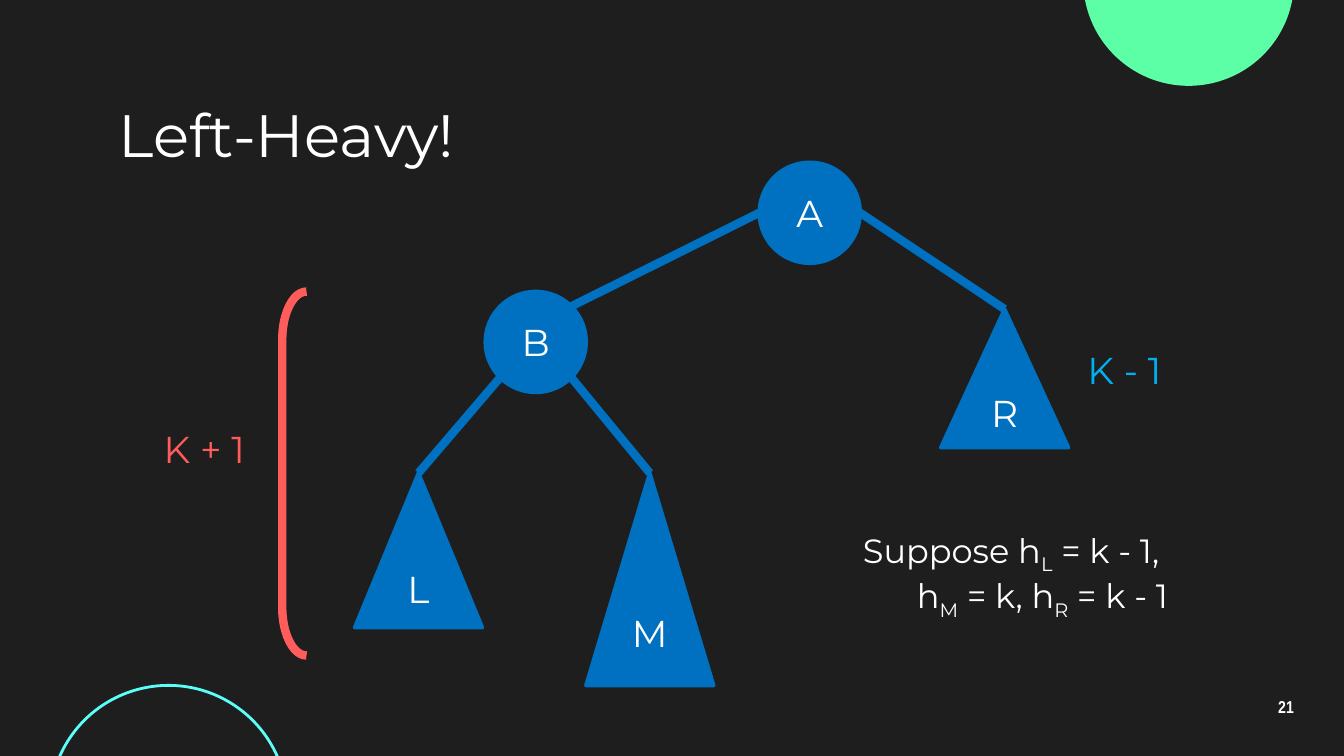
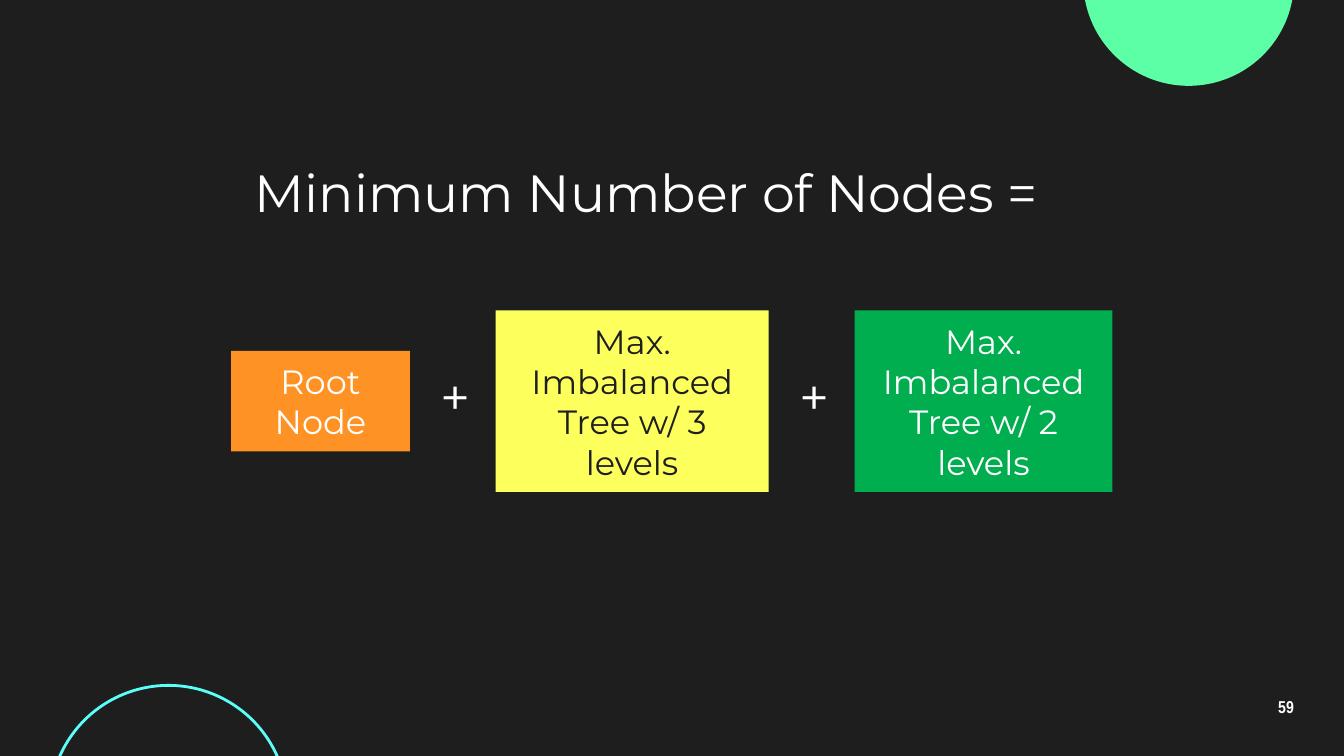
from dataclasses import dataclass
from math import cos, radians, sin

from pptx import Presentation
from pptx.dml.color import RGBColor
from pptx.enum import shapes, text
from pptx.oxml.xmlchemy import OxmlElement
from pptx.util import Pt

KIND = shapes.MSO_SHAPE
ALIGN = text.PP_ALIGN
ANCHOR = text.MSO_ANCHOR


@dataclass(frozen=True)
class Theme:
    background: str = "1E1E1E"
    white: str = "FFFFFF"
    mint: str = "5CFFA6"
    aqua: str = "5CFFF8"
    node: str = "0070C0"
    tall: str = "FF5C5C"
    short: str = "00B0F0"
    orange: str = "FF9225"
    yellow: str = "FDFF5C"
    green: str = "00AE4F"
    font: str = "Montserrat"
    number_font: str = "Arial Narrow"
    title_size: float = 32
    formula_size: float = 28
    label_size: float = 20
    body_size: float = 18
    number_size: float = 9.2
    outline: float = 2
    edge: float = 4.5
    inset: float = 7.2


THEME = Theme()


def rgb(color):
    return RGBColor.from_string(color)


def points(*lengths):
    return [Pt(length) for length in lengths]


def write(shape, words, *, size=THEME.body_size, color=THEME.white, font=THEME.font,
          align=ALIGN.CENTER, anchor=ANCHOR.MIDDLE, bold=False, spacing=None, inset=None):
    """Fill a shape with one paragraph; words between ~ marks are subscripts."""
    frame = shape.text_frame
    frame.word_wrap = True
    frame.auto_size = text.MSO_AUTO_SIZE.NONE
    frame.vertical_anchor = anchor
    if inset is not None:
        frame.margin_left = frame.margin_right = Pt(inset)
        frame.margin_top = frame.margin_bottom = Pt(inset)
    paragraph = frame.paragraphs[0]
    paragraph.alignment = align
    paragraph.line_spacing = spacing
    for index, part in enumerate(words.split("~")):
        for row, piece in enumerate(part.split("\n")):
            if row:
                paragraph.add_line_break()
            run = paragraph.add_run()
            run.text = piece
            run.font.name, run.font.size, run.font.bold = font, Pt(size), bold
            run.font.color.rgb = rgb(color)
            if index % 2:
                run._r.get_or_add_rPr().set("baseline", "-25000")


def add_text(slide, words, box, anchor=ANCHOR.TOP, **format):
    label = slide.shapes.add_textbox(*points(*box))
    write(label, words, anchor=anchor, inset=THEME.inset, **format)


def add_figure(slide, kind, box, fill=None, line=None, width=THEME.outline):
    figure = slide.shapes.add_shape(kind, *points(*box))
    figure.shadow.inherit = False
    if fill:
        figure.fill.solid()
        figure.fill.fore_color.rgb = rgb(fill)
    else:
        figure.fill.background()
    if line:
        figure.line.color.rgb = rgb(line)
        figure.line.width = Pt(width)
    else:
        figure.line.fill.background()
    return figure


def set_title(slide, words, box, **format):
    title = slide.shapes.title
    title.left, title.top, title.width, title.height = points(*box)
    write(title, words, inset=THEME.inset, **format)


def decorate_layout(layout, slide):
    """Give the layout its background and circles, drawn on a slide and moved over."""
    layout.background.fill.solid()
    layout.background.fill.fore_color.rgb = rgb(THEME.background)
    circles = [
        add_figure(slide, KIND.OVAL, (580.3, -67, 113, 113), fill=THEME.mint),
        add_figure(slide, KIND.OVAL, (26.6, 367.2, 127.4, 127.4), line=THEME.aqua, width=1.5),
    ]
    for number, circle in enumerate(circles, start=20):
        circle.element.nvSpPr.cNvPr.set("id", str(number))
        layout.shapes.element.append(circle.element)


def add_number(slide, number):
    add_text(slide, str(number), (667.4, 367.2, 43.2, 24.5), anchor=ANCHOR.MIDDLE,
             size=THEME.number_size, font=THEME.number_font, bold=True, spacing=0.9)


def add_edge(slide, node, angle, child, child_angle=None):
    """Join a node's rim to a subtree's apex, or to another node's rim."""
    def rim(circle, degrees):
        radius, turn = circle.width / 2, radians(degrees)
        return (int(circle.left + radius * (1 + cos(turn))),
                int(circle.top + radius * (1 + sin(turn))))

    start = rim(node, angle)
    end = start if child_angle is None else rim(child, child_angle)
    edge = slide.shapes.add_connector(shapes.MSO_CONNECTOR.STRAIGHT, *start, *end)
    if child_angle is None:
        edge.end_connect(child, 0)
    edge.line.color.rgb = rgb(THEME.node)
    edge.line.width = Pt(THEME.edge)
    edge._element.spPr.append(OxmlElement("a:effectLst"))


def add_tree(slide, left, top):
    diameter, base = 54, 68.4
    parts = {
        "A": (KIND.OVAL, 216.8, 0, diameter, diameter),
        "B": (KIND.OVAL, 70, 69.2, diameter, diameter),
        "L": (KIND.ISOSCELES_TRIANGLE, 0, 166.4, base, 82.8),
        "M": (KIND.ISOSCELES_TRIANGLE, 123.9, 166.4, base, 113.8),
        "R": (KIND.ISOSCELES_TRIANGLE, 314, 78.6, base, 74.2),
    }
    tree = {}
    for name, (kind, x, y, width, height) in parts.items():
        tree[name] = add_figure(slide, kind, (left + x, top + y, width, height),
                                fill=THEME.node, line=THEME.node)
        write(tree[name], name, size=THEME.label_size)
    add_edge(slide, tree["A"], 180, tree["B"], -45)
    add_edge(slide, tree["A"], 0, tree["R"])
    add_edge(slide, tree["B"], 135, tree["L"])
    add_edge(slide, tree["B"], 45, tree["M"])


def add_heights(slide, left, top):
    """Mark the subtree heights beside a tree placed at left, top."""
    bracket = add_figure(slide, KIND.LEFT_BRACKET, (left - 38.8, top + 69.2, 13, 195),
                         line=THEME.tall, width=THEME.edge)
    bracket.adjustments[0] = 1.99
    for words, x, y, color in (("K + 1", -112.2, 134, THEME.tall),
                               ("K - 1", 378.8, 91.6, THEME.short)):
        add_text(slide, words, (left + x, top + y, 60.5, 36.7), size=THEME.label_size,
                 color=color, align=ALIGN.RIGHT)


def build_left_heavy(slide):
    set_title(slide, "Left-Heavy!", (56.2, 53.3, 607.7, 36.7),
              size=THEME.title_size, align=ALIGN.LEFT)
    add_tree(slide, 190, 87)
    add_heights(slide, 190, 87)
    add_text(slide, "Suppose h~L~ = k - 1, \nh~M~ = k, h~R~ = k - 1",
             (417.6, 276.5, 215.3, 36.7), align=ALIGN.RIGHT)
    add_number(slide, 21)


def add_sum(slide, left, middle):
    """Set the terms in a row, centred on middle, with a plus in each gap."""
    gap, plus_offset, plus_height = 46, 3.3, 54
    terms = (
        ("Root Node", 95.8, 54, THEME.orange, THEME.white),
        ("Max. Imbalanced Tree w/ 3 levels", 146.2, 97.2, THEME.yellow, THEME.background),
        ("Max. Imbalanced Tree w/ 2 levels", 138.2, 97.2, THEME.green, THEME.white),
    )
    for index, (words, width, height, fill, color) in enumerate(terms):
        if index:
            add_text(slide, "+", (left - gap + plus_offset, middle - plus_height / 2,
                                  gap - plus_offset, plus_height), size=THEME.formula_size)
        term = add_figure(slide, KIND.RECTANGLE, (left, middle - height / 2, width, height),
                          fill=fill)
        write(term, words, color=color)
        left += width + gap


def build_minimum_nodes(slide):
    set_title(slide, "Minimum Number of Nodes = ", (56.9, 78.5, 586, 54),
              size=THEME.formula_size, anchor=ANCHOR.TOP)
    add_sum(slide, 123.8, 214.9)
    add_number(slide, 59)


def main():
    deck = Presentation()
    deck.slide_width, deck.slide_height = points(720, 405)
    layout = deck.slide_layouts.get_by_name("Title Only")
    left_heavy, minimum_nodes = (deck.slides.add_slide(layout) for _ in range(2))
    decorate_layout(layout, left_heavy)
    build_left_heavy(left_heavy)
    build_minimum_nodes(minimum_nodes)
    deck.save("out.pptx")


if __name__ == "__main__":
    main()
